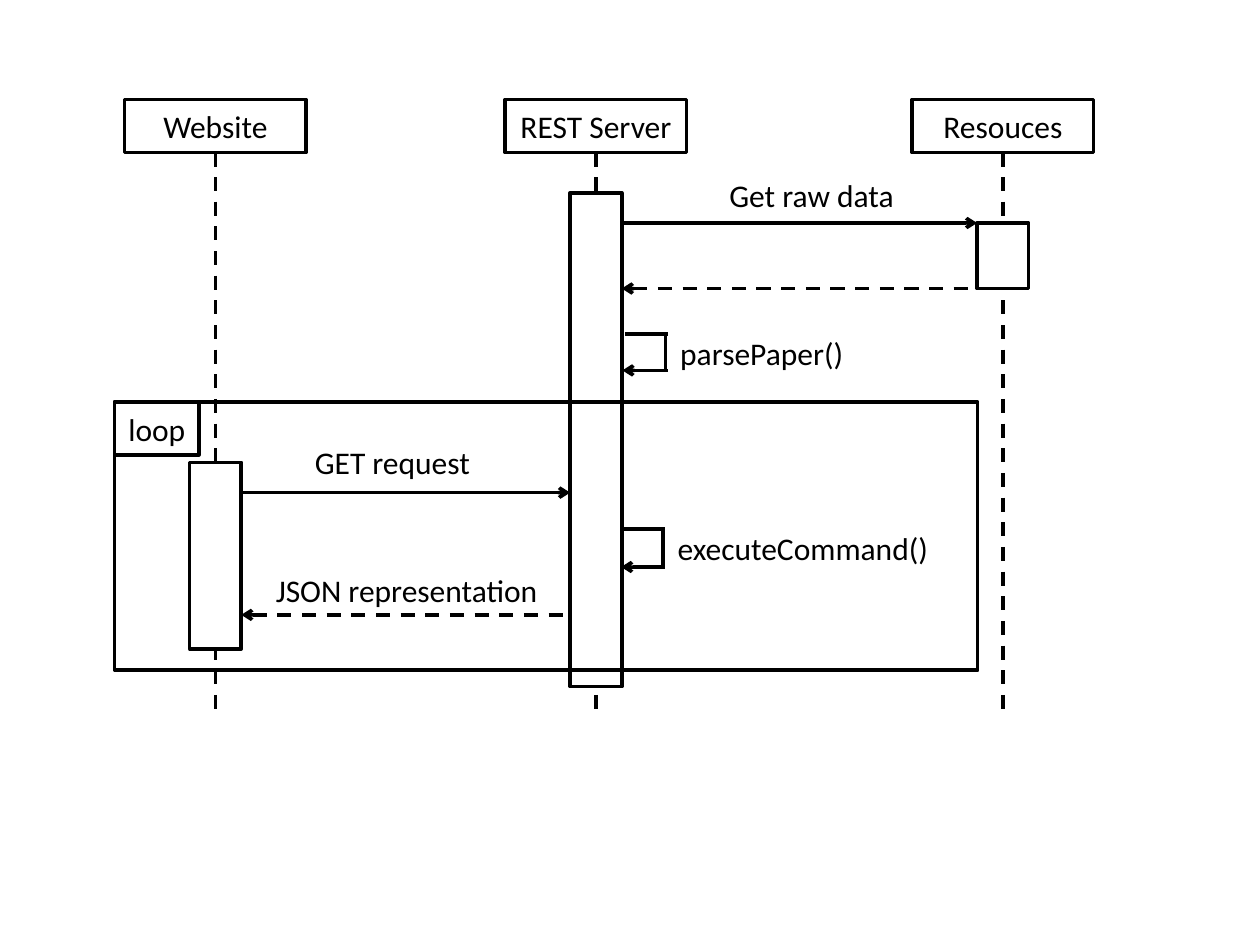
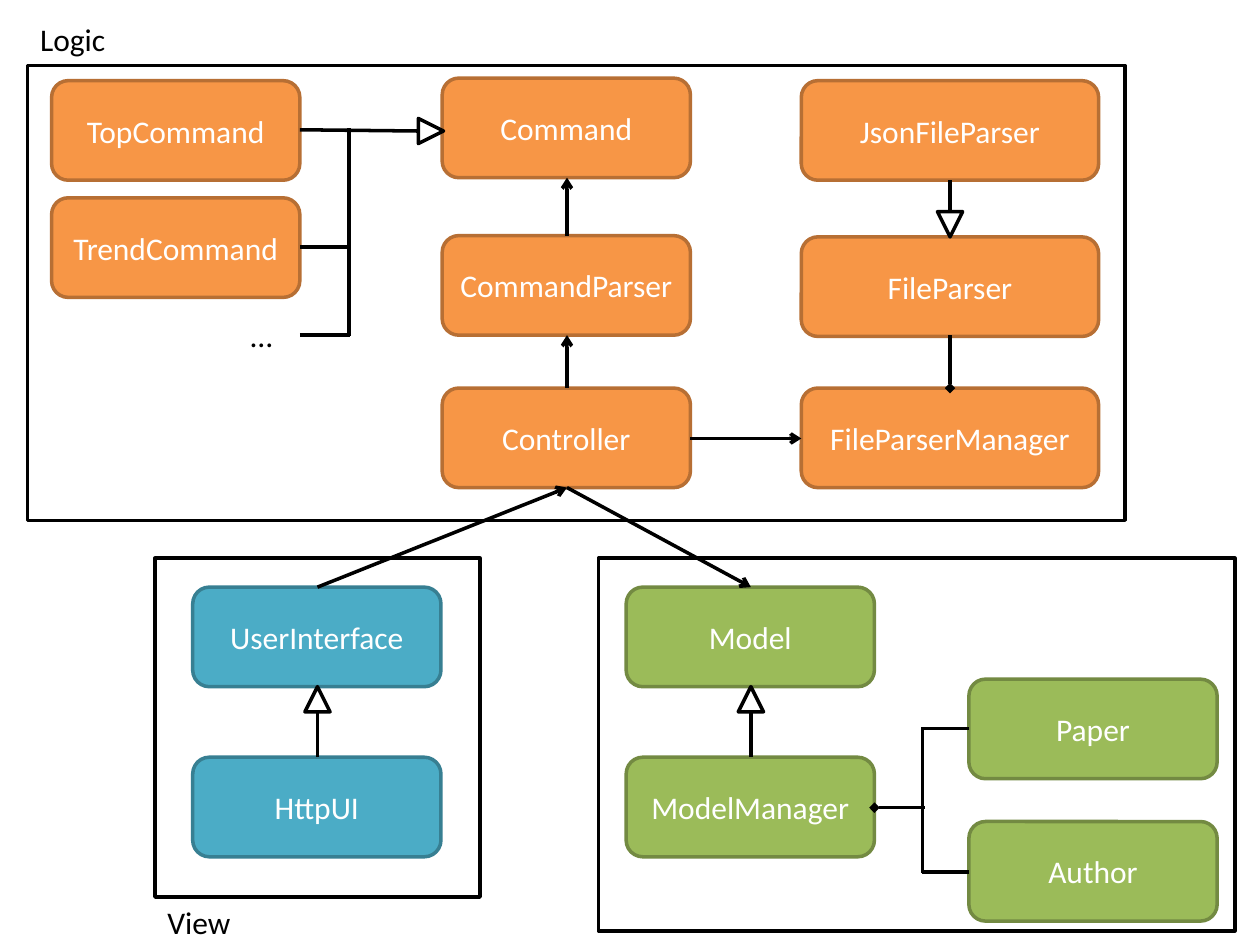
from lxml import etree
from pptx import Presentation
from pptx import util as u
from pptx.dml.color import RGBColor
from pptx.enum import dml, shapes, text
from pptx.oxml.ns import qn

COLORS = {
    "ink": "000000", "paper": "FFFFFF",
    "logic": "F79646", "logic_edge": "B76F34",
    "view": "4BACC6", "view_edge": "377F92",
    "model": "9BBB59", "model_edge": "738A42",
}
RECT = shapes.MSO_SHAPE.RECTANGLE
ROUNDED = shapes.MSO_SHAPE.ROUNDED_RECTANGLE
TRIANGLE = shapes.MSO_SHAPE.ISOSCELES_TRIANGLE


class Diagram:
    """Holds the shared style and the slide being drawn."""

    font, size, weight = "Calibri", u.Pt(18), u.Pt(2)

    def __init__(self, deck):
        self.deck = deck
        self.page = None

    def new_page(self):
        self.page = self.deck.slides.add_slide(self.deck.slide_layouts[6])

    def color(self, name):
        return RGBColor.from_string(COLORS[name])

    def add_span(self, para, words, color):
        span = para.add_run()
        span.text = words
        span.font.name, span.font.size = self.font, self.size
        span.font.color.rgb = self.color(color)

    def box(self, left, top, width, height, words="", kind=RECT,
            fill="paper", edge="ink", ink="ink"):
        box = self.page.shapes.add_shape(
            kind, u.Inches(left), u.Inches(top), u.Inches(width), u.Inches(height))
        box.shadow.inherit = False
        if fill:
            box.fill.solid()
            box.fill.fore_color.rgb = self.color(fill)
        else:
            box.fill.background()
        box.line.color.rgb = self.color(edge)
        box.line.width = self.weight
        if words:
            box.text_frame.vertical_anchor = text.MSO_ANCHOR.MIDDLE
            para = box.text_frame.paragraphs[0]
            para.alignment = text.PP_ALIGN.CENTER
            self.add_span(para, words, ink)
        return box

    def component(self, left, top, words, group, width=1.97):
        self.box(left, top, width, 0.79, words, ROUNDED, group, group + "_edge", "paper")

    def label(self, left, top, width, words):
        box = self.page.shapes.add_textbox(
            u.Inches(left), u.Inches(top), u.Inches(width), u.Inches(0.4))
        box.text_frame.word_wrap = False
        box.text_frame.auto_size = text.MSO_AUTO_SIZE.SHAPE_TO_FIT_TEXT
        self.add_span(box.text_frame.paragraphs[0], words, "ink")

    def line(self, x1, y1, x2, y2, dashed=False, head=None, tail=None):
        line = self.page.shapes.add_connector(
            shapes.MSO_CONNECTOR.STRAIGHT,
            u.Inches(x1), u.Inches(y1), u.Inches(x2), u.Inches(y2))
        line.line.color.rgb = self.color("ink")
        line.line.width = self.weight
        if dashed:
            line.line.dash_style = dml.MSO_LINE.DASH
        props = line._element.spPr
        for tag, end in (("a:headEnd", head), ("a:tailEnd", tail)):
            if end:
                etree.SubElement(props.find(qn("a:ln")), qn(tag), type=end)
        etree.SubElement(props, qn("a:effectLst"))

    def self_call(self, left, top, bottom, right, words, width):
        self.line(left, bottom, right, bottom, head="arrow")
        self.line(left + 0.02, top, right, top)
        self.line(right - 0.02, top, right - 0.02, bottom)
        self.label(right, top - 0.05, width, words)

    def triangle(self, center_x, center_y, turn=0):
        side = 0.2
        self.box(center_x - side / 2, center_y - side / 2, side, side,
                 kind=TRIANGLE).rotation = turn


def draw_sequence(art):
    art.new_page()
    lifelines = {"Website": 1.71, "REST Server": 4.73, "Resouces": 7.96}
    website, server, resources = lifelines.values()
    bar = 0.41
    half = bar / 2

    # Lifelines and activation bars
    for x in lifelines.values():
        art.line(x, 1.21, x, 5.66, dashed=True)
    for x, top, height in ((website, 3.67, 1.48), (server, 1.53, 3.92),
                           (resources, 1.77, 0.52)):
        art.box(x - half, top, bar, height)

    # Messages between server and resources
    art.line(server + half, 1.77, resources - half, 1.77, tail="arrow")
    art.line(server + half, 2.29, resources - half, 2.29, dashed=True, head="arrow")
    art.label(5.69, 1.35, 1.53, "Get raw data")

    # Messages between website and server
    art.line(website + half, 3.91, server - half, 3.91, tail="arrow")
    art.line(website + half, 4.88, server - half, 4.88, dashed=True, head="arrow")
    art.label(2.4, 3.47, 1.45, "GET request")
    art.label(2.09, 4.48, 2.31, "JSON representation")

    # Calls the server makes to itself
    art.self_call(4.94, 2.65, 2.94, 5.3, "parsePaper()", 1.52)
    art.self_call(4.93, 4.2, 4.5, 5.28, "executeCommand()", 2.22)

    # Loop frame and participants
    art.box(0.91, 3.19, 6.85, 2.13, fill=None)
    art.box(0.91, 3.19, 0.67, 0.42, "loop")
    for name, x in lifelines.items():
        art.box(x - 0.72, 0.79, 1.44, 0.42, name)


def draw_architecture(art):
    art.new_page()

    # Package frames
    for frame in ((4.75, 4.43, 5.05, 2.96), (1.23, 4.43, 2.58, 2.69),
                  (0.22, 0.52, 8.71, 3.61)):
        art.box(*frame)
    art.label(0.22, 0.11, 0.72, "Logic")
    art.label(1.23, 7.12, 0.71, "View")

    # Components
    for left, top, name, group in (
            (0.41, 0.64, "TopCommand", "logic"),
            (0.41, 1.57, "TrendCommand", "logic"),
            (3.51, 0.62, "Command", "logic"),
            (3.51, 1.87, "CommandParser", "logic"),
            (3.51, 3.08, "Controller", "logic"),
            (1.53, 4.66, "UserInterface", "view"),
            (1.53, 6.01, "HttpUI", "view"),
            (4.97, 4.66, "Model", "model"),
            (4.97, 6.01, "ModelManager", "model"),
            (7.69, 5.39, "Paper", "model"),
            (7.69, 6.52, "Author", "model")):
        art.component(left, top, name, group)
    for top, name in ((0.64, "JsonFileParser"), (1.88, "FileParser"),
                      (3.08, "FileParserManager")):
        art.component(6.36, top, name, "logic", width=2.36)
    art.label(1.89, 2.46, 0.38, "…")

    # Dependencies
    for ends in ((2.52, 4.66, 4.5, 3.87), (4.5, 3.87, 5.96, 4.66),
                 (5.48, 3.48, 6.36, 3.48), (4.5, 3.08, 4.5, 2.66),
                 (4.5, 1.87, 4.5, 1.41)):
        art.line(*ends, tail="arrow")

    # Inheritance
    for x in (2.52, 5.96):
        art.line(x, 6.01, x, 5.65)
        art.triangle(x, 5.55)
    art.line(7.54, 1.43, 7.54, 1.7)
    art.triangle(7.54, 1.78, turn=180)
    art.line(2.38, 1.03, 3.32, 1.04)
    art.triangle(3.42, 1.04, turn=90)
    art.line(2.77, 2.67, 2.77, 1.02)
    for y in (1.96, 2.66):
        art.line(2.38, y, 2.78, y)

    # Composition
    art.line(7.54, 2.66, 7.54, 3.08, tail="diamond")
    art.line(7.34, 6.41, 6.94, 6.41, tail="diamond")
    art.line(7.32, 6.93, 7.32, 5.77)
    for y in (5.78, 6.92):
        art.line(7.32, y, 7.69, y)


def main():
    deck = Presentation()
    deck.slide_width, deck.slide_height = u.Inches(10), u.Inches(7.5)
    art = Diagram(deck)
    draw_sequence(art)
    draw_architecture(art)
    deck.save("out.pptx")


if __name__ == "__main__":
    main()
